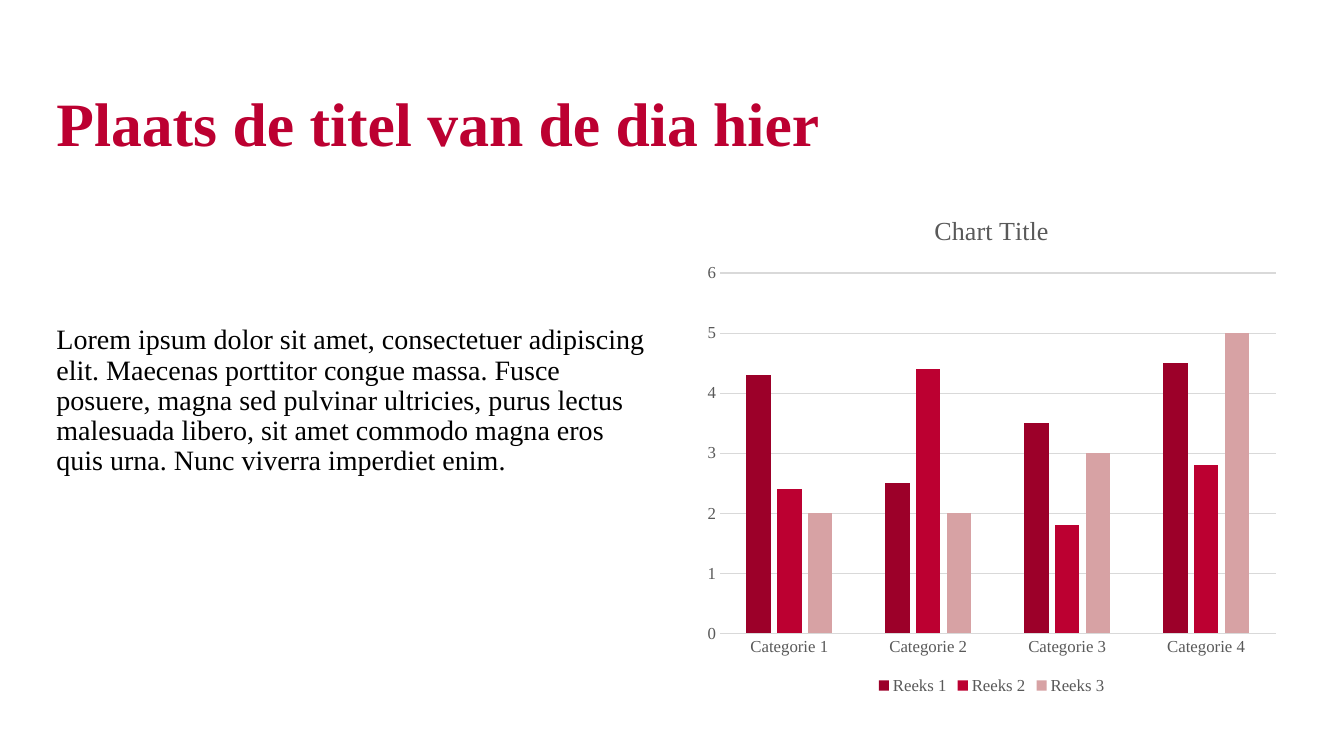
"""Builds a title slide body with a paragraph on the left and a column chart on the right."""
from pptx import Presentation
from pptx.chart.data import CategoryChartData
from pptx.dml.color import RGBColor
from pptx.enum.chart import XL_CHART_TYPE, XL_LEGEND_POSITION, XL_TICK_MARK
from pptx.enum.text import MSO_ANCHOR, MSO_AUTO_SIZE, PP_ALIGN
from pptx.util import Inches, Pt

FONT = "Times New Roman"
CRIMSON = RGBColor(0xBC, 0x00, 0x31)
DARK_RED = RGBColor(0x9C, 0x00, 0x29)
ROSE = RGBColor(0xD7, 0xA2, 0xA4)
BLACK = RGBColor(0, 0, 0)
GREY = RGBColor(0x59, 0x59, 0x59)
LIGHT_GREY = RGBColor(0xD9, 0xD9, 0xD9)

TITLE = "Plaats de titel van de dia hier"
BODY = (
    "Lorem ipsum dolor sit amet, consectetuer adipiscing elit. Maecenas porttitor "
    "congue massa. Fusce posuere, magna sed pulvinar ultricies, purus lectus malesuada "
    "libero, sit amet commodo magna eros quis urna. Nunc viverra imperdiet enim."
)
CHART_TITLE = "Chart Title"
CATEGORIES = ["Categorie 1", "Categorie 2", "Categorie 3", "Categorie 4"]
SERIES = [
    ("Reeks 1", (4.3, 2.5, 3.5, 4.5), DARK_RED),
    ("Reeks 2", (2.4, 4.4, 1.8, 2.8), CRIMSON),
    ("Reeks 3", (2, 2, 3, 5), ROSE),
]

SLIDE_WIDTH, SLIDE_HEIGHT = 13.33, 7.5
MARGIN, GUTTER = 0.56, 0.47
CONTENT_WIDTH = SLIDE_WIDTH - 2 * MARGIN
COLUMN_WIDTH = (CONTENT_WIDTH - GUTTER) / 2
RIGHT_COLUMN = MARGIN + COLUMN_WIDTH + GUTTER


def style_font(font, size, color, bold=False):
    font.name, font.size, font.bold = FONT, Pt(size), bold
    font.color.rgb = color


def fill_text(shape, text, size, color, anchor, bold=False):
    frame = shape.text_frame
    frame.auto_size = MSO_AUTO_SIZE.NONE
    frame.word_wrap = True
    frame.vertical_anchor = anchor
    frame.margin_left = frame.margin_top = frame.margin_right = frame.margin_bottom = 0
    paragraph = frame.paragraphs[0]
    paragraph.alignment = PP_ALIGN.LEFT
    paragraph.line_spacing = 0.9
    run = paragraph.add_run()
    run.text = text
    style_font(run.font, size, color, bold)


def style_line(line):
    line.color.rgb = LIGHT_GREY
    line.width = Pt(0.75)


def add_column_chart(slide):
    data = CategoryChartData()
    data.categories = CATEGORIES
    for name, values, _ in SERIES:
        data.add_series(name, values)
    chart = slide.shapes.add_chart(
        XL_CHART_TYPE.COLUMN_CLUSTERED, Inches(RIGHT_COLUMN), Inches(1.93),
        Inches(COLUMN_WIDTH), Inches(5), data).chart
    style_font(chart.font, 10, BLACK)

    chart.has_title = True
    run = chart.chart_title.text_frame.paragraphs[0].add_run()
    run.text = CHART_TITLE
    style_font(run.font, 18.6, GREY)
    chart.chart_title.include_in_layout = False

    chart.has_legend = True
    chart.legend.position = XL_LEGEND_POSITION.BOTTOM
    chart.legend.include_in_layout = False
    style_font(chart.legend.font, 12, GREY)

    for axis in (chart.category_axis, chart.value_axis):
        axis.major_tick_mark = axis.minor_tick_mark = XL_TICK_MARK.NONE
        style_font(axis.tick_labels.font, 12, GREY)
    style_line(chart.category_axis.format.line)
    chart.value_axis.format.line.fill.background()
    chart.value_axis.minimum_scale, chart.value_axis.maximum_scale = 0, 6
    chart.value_axis.major_unit = 1
    style_line(chart.value_axis.major_gridlines.format.line)

    plot = chart.plots[0]
    plot.gap_width, plot.overlap, plot.vary_by_categories = 219, -27, False
    for series, (_, _, color) in zip(plot.series, SERIES):
        series.format.fill.solid()
        series.format.fill.fore_color.rgb = color
        series.invert_if_negative = False


def main():
    presentation = Presentation()
    presentation.slide_width = Inches(SLIDE_WIDTH)
    presentation.slide_height = Inches(SLIDE_HEIGHT)
    slide = presentation.slides.add_slide(presentation.slide_layouts[5])

    title = slide.shapes.title
    title.left, title.top = Inches(MARGIN), Inches(0.78)
    title.width, title.height = Inches(CONTENT_WIDTH), Inches(0.96)
    fill_text(title, TITLE, 44, CRIMSON, MSO_ANCHOR.MIDDLE, bold=True)

    body = slide.shapes.add_textbox(
        Inches(MARGIN), Inches(3.23), Inches(COLUMN_WIDTH), Inches(1.58))
    fill_text(body, BODY, 20, BLACK, MSO_ANCHOR.TOP)

    add_column_chart(slide)
    presentation.save("out.pptx")


if __name__ == "__main__":
    main()
